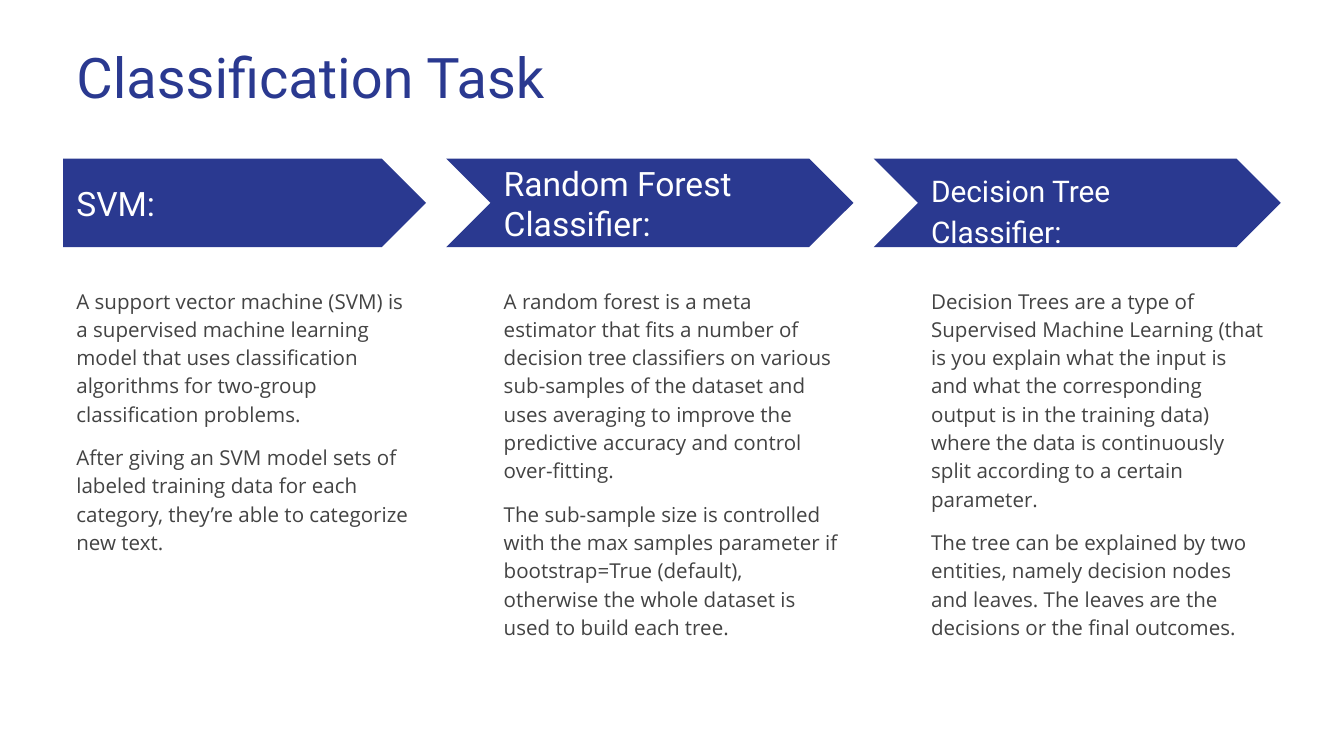
from pptx import Presentation
from pptx.dml.color import RGBColor
from pptx.enum.shapes import MSO_SHAPE
from pptx.enum.text import MSO_ANCHOR
from pptx.util import Inches, Pt

PLATE, CHEVRON = MSO_SHAPE.PENTAGON, MSO_SHAPE.CHEVRON
TOP, MIDDLE = MSO_ANCHOR.TOP, MSO_ANCHOR.MIDDLE

# Content
TITLE = "Classification Task"
COLUMNS = [
    ("SVM:", [
        "A support vector machine (SVM) is a supervised machine learning model "
        "that uses classification algorithms for two-group classification problems.",
        "After giving an SVM model sets of labeled training data for each "
        "category, they’re able to categorize new text.",
    ]),
    ("Random Forest Classifier:", [
        "A random forest is a meta estimator that fits a number of decision tree "
        "classifiers on various sub-samples of the dataset and uses averaging to "
        "improve the predictive accuracy and control over-fitting.",
        "The sub-sample size is controlled with the max samples parameter if "
        "bootstrap=True (default), otherwise the whole dataset is used to build "
        "each tree.",
    ]),
    ("Decision Tree Classifier:", [
        "Decision Trees are a type of Supervised Machine Learning (that is you "
        "explain what the input is and what the corresponding output is in the "
        "training data) where the data is continuously split according to a "
        "certain parameter.",
        "The tree can be explained by two entities, namely decision nodes and "
        "leaves. The leaves are the decisions or the final outcomes.",
    ]),
]

# Formats
BLUE, WHITE, GREY = "2A3990", "FFFFFF", "434343"
HEAD = {"name": "Roboto", "size": Pt(18)}
LAST = {"name": "Roboto", "size": Pt(16)}
BODY = {"name": "Open Sans", "size": Pt(11)}
BIG = {"name": "Roboto", "size": Pt(30)}

# Grid, in inches
SLIDE_W = 10
SLIDE_H = SLIDE_W * 9 / 16
LEFT, PITCH, WIDTH = 0.47, 3.18, 2.7
NOTCH = 0.33  # how far a chevron starts before its column
BAR_Y, BAR_H = 1.18, 0.66
HEAD_Y, HEAD_W, HEAD_H = 1.34, 2.47, 0.34
DROP = 0.04  # the last heading sits a little lower
BODY_Y, BODY_H = 2.02, 2.9


def color(code):
    return RGBColor.from_string(code)


def add_text(slide, box, lines, font, ink, anchor=TOP, space=1.0):
    frame = slide.shapes.add_textbox(*map(Inches, box)).text_frame
    frame.word_wrap = True
    frame.vertical_anchor = anchor
    for side in ("left", "right", "top", "bottom"):
        setattr(frame, "margin_" + side, Inches(0.1))
    for i, line in enumerate(lines):
        para = frame.add_paragraph() if i else frame.paragraphs[0]
        para.line_spacing = space
        para.space_before = Pt(8 if i else 0)
        run = para.add_run()
        run.text = line
        run.font.color.rgb = color(ink)
        for key, value in font.items():
            setattr(run.font, key, value)


def add_bar(slide, kind, x, width):
    bar = slide.shapes.add_shape(kind, *map(Inches, (x, BAR_Y, width, BAR_H)))
    bar.adjustments[0] = 0.5
    bar.shadow.inherit = False
    bar.fill.solid()
    bar.fill.fore_color.rgb = color(BLUE)
    bar.line.fill.background()


def main():
    deck = Presentation()
    deck.slide_width, deck.slide_height = Inches(SLIDE_W), Inches(SLIDE_H)
    slide = deck.slides.add_slide(deck.slide_layouts[6])

    # Title
    add_text(slide, (LEFT, 0.22, 9.32, 0.66), [TITLE], BIG, BLUE)

    # Columns: arrow, heading, body
    for i, (head, body) in enumerate(COLUMNS):
        x = LEFT + i * PITCH
        last = i == len(COLUMNS) - 1
        notch = NOTCH if i else 0
        add_bar(slide, CHEVRON if i else PLATE, x - notch, WIDTH + notch)
        y = HEAD_Y + (DROP if last else 0)
        add_text(slide, (x, y, HEAD_W, HEAD_H), [head], LAST if last else HEAD,
                 WHITE, MIDDLE, 1.15 if last else 1.0)
        add_text(slide, (x, BODY_Y, WIDTH, BODY_H), body, BODY, GREY, space=1.15)

    deck.save("out.pptx")


if __name__ == "__main__":
    main()
